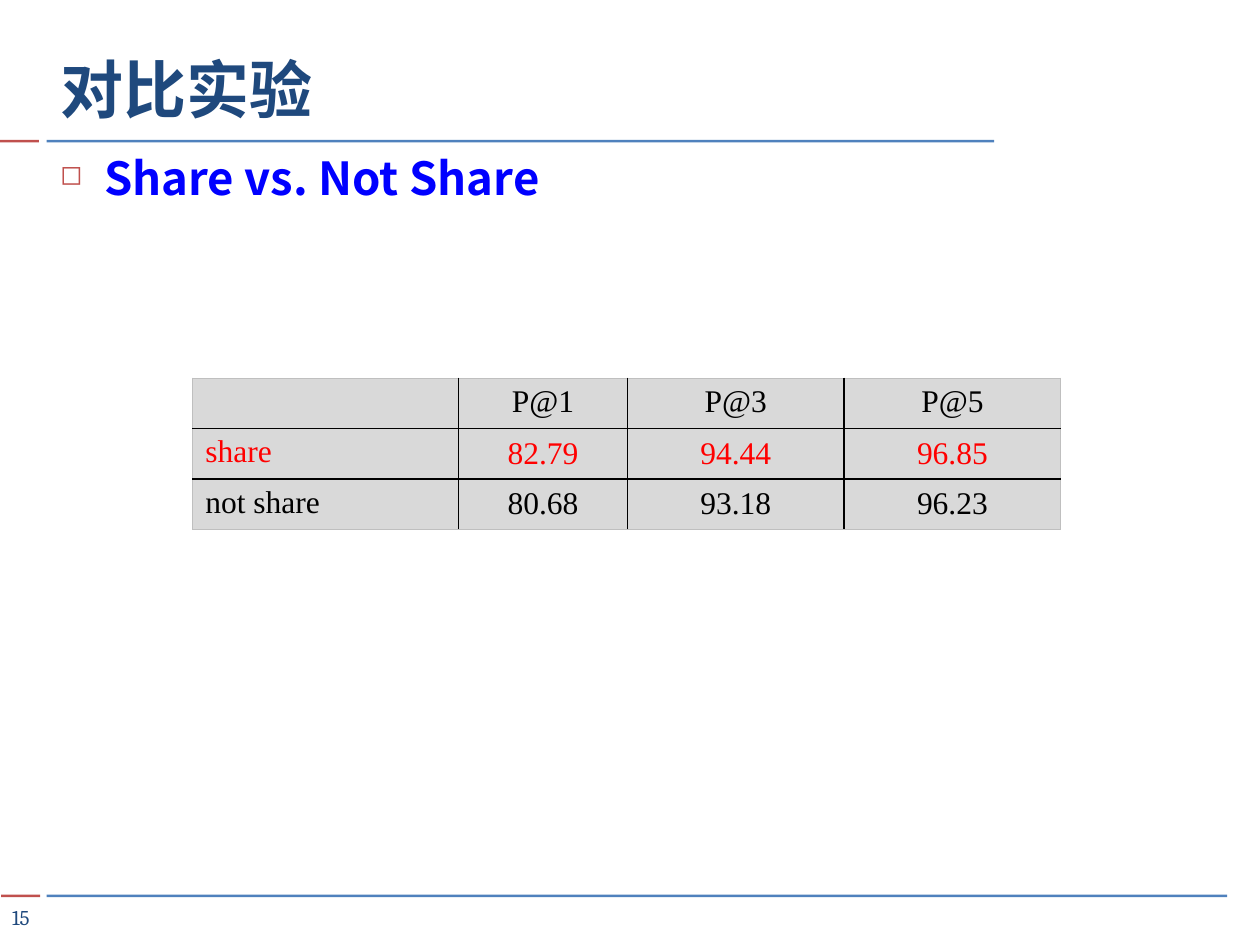
import pptx
import pptx.util
import pptx.dml.color
import pptx.enum.shapes
import pptx.enum.text
import pptx.oxml
import pptx.oxml.ns

Inches = pptx.util.Inches
Pt = pptx.util.Pt
RGBColor = pptx.dml.color.RGBColor
PP_ALIGN = pptx.enum.text.PP_ALIGN
MSO_ANCHOR = pptx.enum.text.MSO_ANCHOR

NAVY = RGBColor(0x1F, 0x49, 0x7D)
BLUE = RGBColor(0x4F, 0x81, 0xBD)
BRICK = RGBColor(0xC0, 0x50, 0x4D)
BRIGHT_BLUE = RGBColor(0x00, 0x00, 0xFF)
RED = RGBColor(0xFF, 0x00, 0x00)
BLACK = RGBColor(0x00, 0x00, 0x00)
GRAY = RGBColor(0xD9, 0xD9, 0xD9)
EDGE_GRAY = RGBColor(0xBF, 0xBF, 0xBF)

HEADING_FONT = "Cambria"
BODY_FONT = "Noto Sans CJK SC"
TABLE_FONT = "Times New Roman"

ROWS = [
    ["", "P@1", "P@3", "P@5"],
    ["share", "82.79", "94.44", "96.85"],
    ["not share", "80.68", "93.18", "96.23"],
]
COL_WIDTHS = [2.11, 1.34, 1.72, 1.72]


def add_xml(parent, tag, **attrs):
    el = pptx.oxml.ns.qn(tag)
    child = parent.makeelement(el, attrs)
    parent.append(child)
    return child


def format_text(p, font, size, color, bold=False, align=PP_ALIGN.LEFT):
    p.alignment = align
    for r in p.runs:
        r.font.name = font
        r.font.size = Pt(size)
        r.font.bold = bold
        r.font.color.rgb = color


def add_rule(s, left, top, width):
    gap_start, gap_end = 0.31, 0.37
    bars = [(left, gap_start, BRICK), (gap_end, width, BLUE)]
    for x, w, color in bars:
        sp = s.shapes.add_shape(
            pptx.enum.shapes.MSO_SHAPE.RECTANGLE,
            Inches(x), Inches(top), Inches(w), Inches(0.02))
        sp.shadow.inherit = False
        sp.fill.solid()
        sp.fill.fore_color.rgb = color
        sp.line.fill.background()


def place_title(s, left, top, width, height):
    sp = s.shapes.title
    sp.left, sp.top = Inches(left), Inches(top)
    sp.width, sp.height = Inches(width), Inches(height)
    tf = sp.text_frame
    tf.text = "对比实验"
    tf.auto_size = pptx.enum.text.MSO_AUTO_SIZE.NONE
    tf.vertical_anchor = MSO_ANCHOR.BOTTOM
    p = tf.paragraphs[0]
    format_text(p, HEADING_FONT, 36, NAVY, bold=True)
    add_xml(p.runs[0].font._element, "a:ea", typeface=BODY_FONT)


def add_page_number(s, left, top, width, height):
    sp = s.shapes.add_textbox(
        Inches(left), Inches(top), Inches(width), Inches(height))
    tf = sp.text_frame
    tf.margin_left = tf.margin_right = tf.margin_top = tf.margin_bottom = 0
    tf.vertical_anchor = MSO_ANCHOR.MIDDLE
    tf.word_wrap = True
    tf.text = "15"
    format_text(tf.paragraphs[0], HEADING_FONT, 12, NAVY, align=PP_ALIGN.CENTER)


def add_body(s, left, top, width, height):
    sp = s.shapes.add_textbox(
        Inches(left), Inches(top), Inches(width), Inches(height))
    tf = sp.text_frame
    tf.word_wrap = True
    tf.text = "Share vs. Not Share"
    p = tf.paragraphs[0]
    format_text(p, BODY_FONT, 26, BRIGHT_BLUE, bold=True)
    p.space_before = Pt(7)
    pPr = p._p.get_or_add_pPr()
    pPr.set("marL", str(Inches(0.35)))
    pPr.set("indent", str(-Inches(0.35)))
    add_xml(add_xml(pPr, "a:buClr"), "a:srgbClr", val=str(BRICK))
    add_xml(pPr, "a:buSzPct", val="60000")
    add_xml(pPr, "a:buChar", char="◻")


def set_borders(cell, outer):
    tcPr = cell._tc.get_or_add_tcPr()
    for side in ("L", "R", "T", "B"):
        color, width = (EDGE_GRAY, 0.5) if side in outer else (BLACK, 1)
        ln = add_xml(tcPr, "a:ln" + side, w=str(Pt(width)))
        add_xml(add_xml(ln, "a:solidFill"), "a:srgbClr", val=str(color))


def add_results_table(s, left, top, row_height):
    n_rows, n_cols = len(ROWS), len(COL_WIDTHS)
    table = s.shapes.add_table(
        n_rows, n_cols, Inches(left), Inches(top),
        Inches(sum(COL_WIDTHS)), Inches(row_height * n_rows)).table
    for col, width in zip(table.columns, COL_WIDTHS):
        col.width = Inches(width)
    for i, values in enumerate(ROWS):
        table.rows[i].height = Inches(row_height)
        for j, value in enumerate(values):
            cell = table.cell(i, j)
            cell.text = value
            if i and j:
                cell.vertical_anchor = MSO_ANCHOR.MIDDLE
            format_text(cell.text_frame.paragraphs[0], TABLE_FONT, 18,
                        RED if i == 1 else BLACK,
                        align=PP_ALIGN.CENTER if j else PP_ALIGN.LEFT)
            edges = {"L": j == 0, "R": j == n_cols - 1,
                     "T": i == 0, "B": i == n_rows - 1}
            set_borders(cell, [side for side in edges if edges[side]])
            cell.fill.solid()
            cell.fill.fore_color.rgb = GRAY


def main():
    prs = pptx.Presentation()
    prs.slide_width, prs.slide_height = Inches(10), Inches(7.5)
    s = prs.slides.add_slide(prs.slide_layouts[5])
    add_rule(s, 0, 1.11, 7.52)
    add_rule(s, 0.01, 7.1, 9.37)
    place_title(s, 0.38, 0.18, 7.42, 0.87)
    add_page_number(s, 0.02, 7.14, 0.29, 0.28)
    add_body(s, 0.38, 1.14, 9.2, 2.28)
    add_results_table(s, 1.53, 3, 0.38)
    prs.save("out.pptx")


if __name__ == "__main__":
    main()
